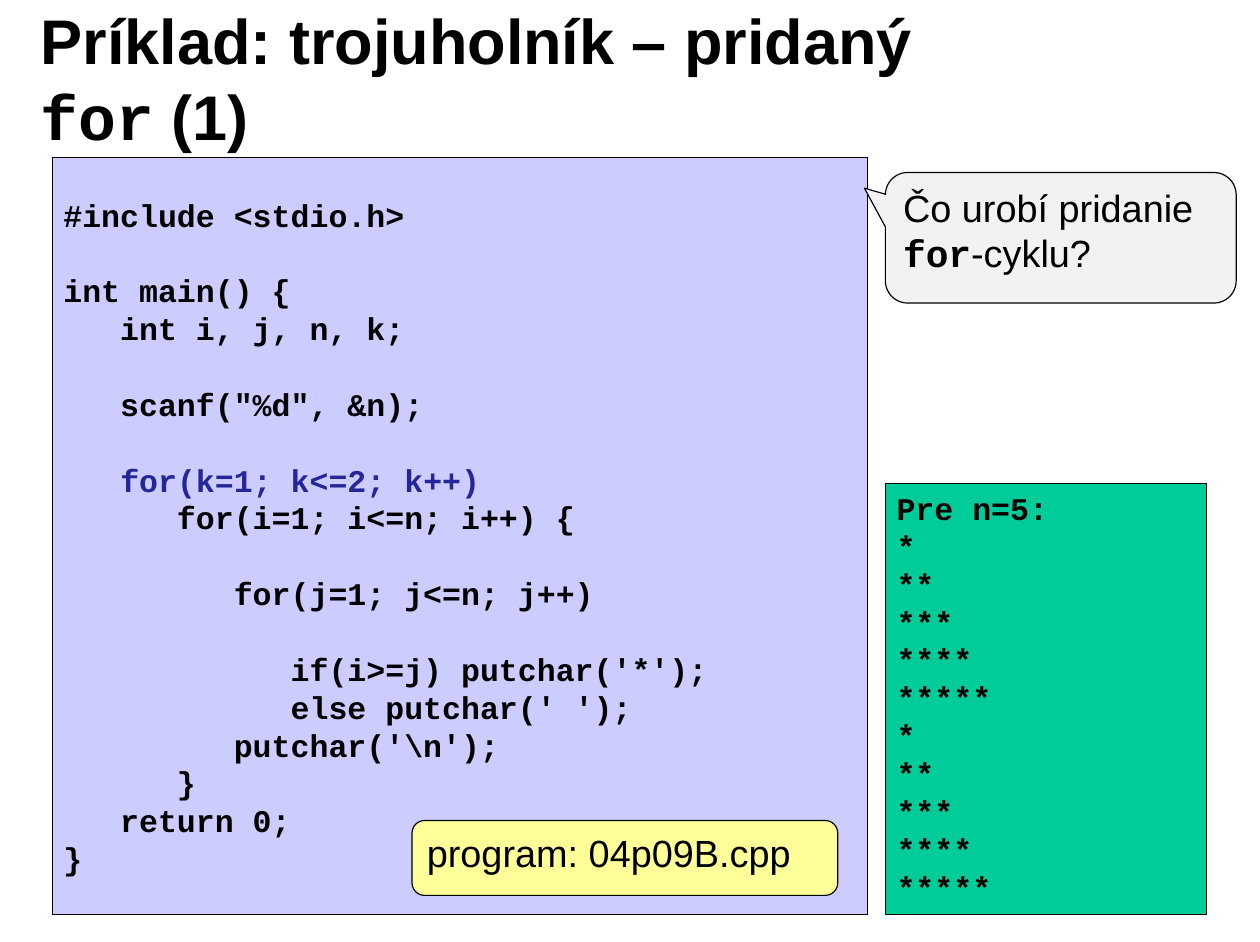
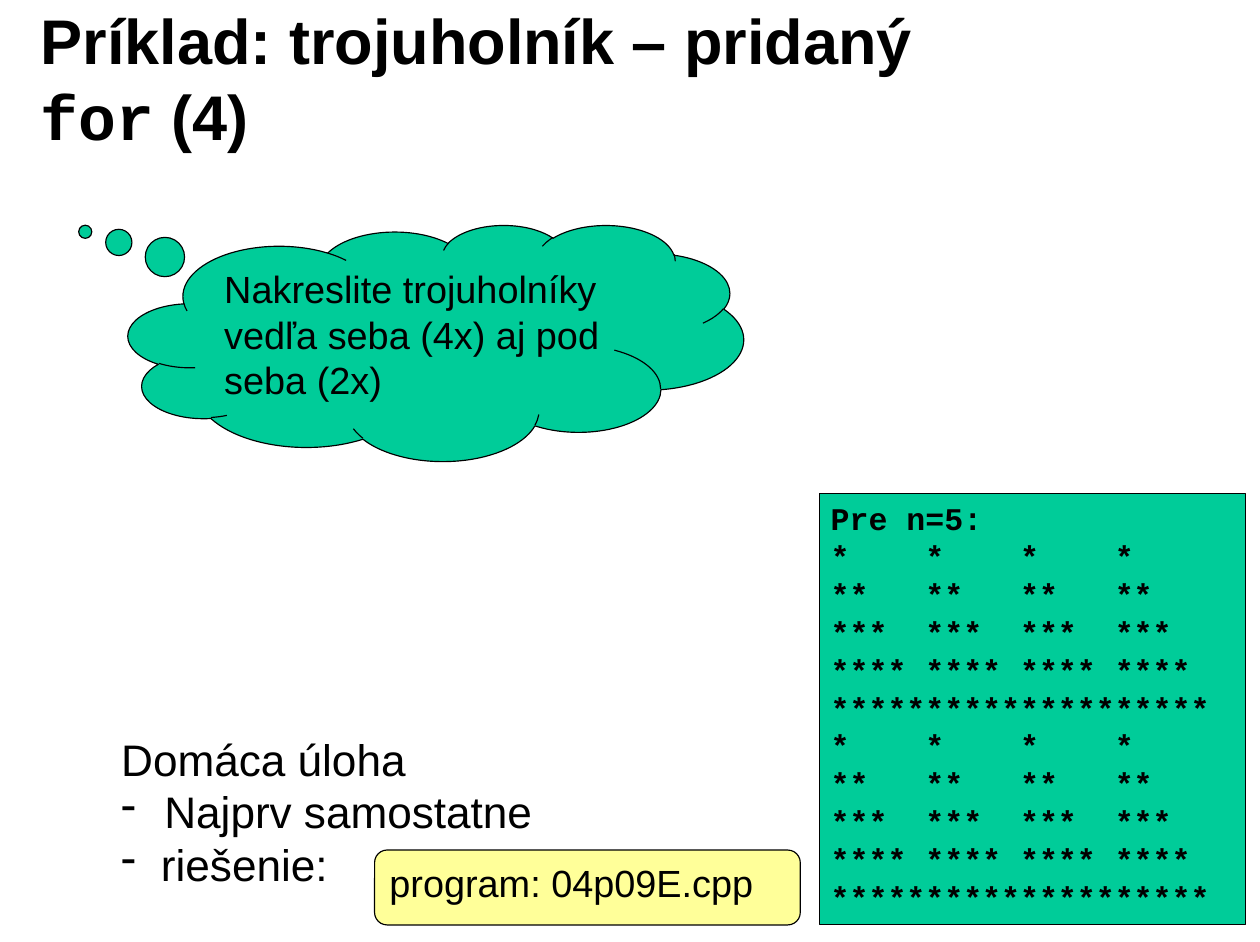
from lxml.etree import SubElement
from pptx import Presentation
from pptx.dml.color import RGBColor
from pptx.enum.shapes import MSO_SHAPE
from pptx.enum.text import MSO_ANCHOR, PP_ALIGN
from pptx.oxml.ns import qn
from pptx.util import Inches, Pt

COLORS = {
    "ink": "000000",
    "keyword": "262699",
    "code": "CCCCFF",
    "output": "00CC99",
    "question": "F2F2F2",
    "program": "FFFF99",
}
SANS, MONO = "Arial", "Courier New"
LINE_FACTOR = 1.2
SIDES = 5

CODE = r"""#include <stdio.h>

int main() {
   int i, j, n, k;

   scanf("%d", &n);

   for(k=1; k<=2; k++)
      for(i=1; i<=n; i++) {

         for(j=1; j<=n; j++)

            if(i>=j) putchar('*');
            else putchar(' ');
         putchar('\n');
      }
   return 0;
}"""
ADDED_LOOP = "for(k=1; k<=2; k++)"
QUESTION = [("Čo urobí pridanie ", {}), ("for", {"font": MONO, "bold": True}), ("-cyklu?", {})]
TASK = "Nakreslite trojuholníky vedľa seba (4x) aj pod seba (2x)"
HOMEWORK = [("Domáca úloha", 0), ("Najprv samostatne", 0.38), ("riešenie:", 0.35)]


def write(shape, paragraphs, size=24, font=SANS, bold=False, anchor=MSO_ANCHOR.TOP,
          insets=(0.1, 0.05), gaps=(), dashes=()):
    frame = shape.text_frame
    frame.word_wrap = True
    frame.vertical_anchor = anchor
    frame.margin_left = frame.margin_right = Inches(insets[0])
    frame.margin_top = frame.margin_bottom = Inches(insets[1])
    for index, content in enumerate(paragraphs):
        paragraph = frame.paragraphs[0] if index == 0 else frame.add_paragraph()
        paragraph.alignment = PP_ALIGN.LEFT
        paragraph.line_spacing = Pt(size * LINE_FACTOR)
        if index in gaps:
            paragraph.space_before = Pt(size * LINE_FACTOR)
        if dashes and dashes[index]:
            properties = paragraph._p.get_or_add_pPr()
            properties.set("marL", str(Inches(dashes[index])))
            properties.set("indent", str(-Inches(dashes[index])))
            SubElement(properties, qn("a:buChar")).set("char", "-")
        pieces = [(content, {})] if isinstance(content, str) else content
        for text, style in pieces:
            run = paragraph.add_run()
            run.text = text
            run.font.name = style.get("font", font)
            run.font.size = Pt(size)
            run.font.bold = style.get("bold", bold)
            run.font.color.rgb = RGBColor.from_string(COLORS[style.get("color", "ink")])


def add_panel(slide, preset, box, fill, adjustments=()):
    panel = slide.shapes.add_shape(preset, *map(Inches, box))
    panel.shadow.inherit = False
    panel.fill.solid()
    panel.fill.fore_color.rgb = RGBColor.from_string(COLORS[fill])
    panel.line.color.rgb = RGBColor.from_string(COLORS["ink"])
    panel.line.width = Pt(0.75)
    for index, value in enumerate(adjustments):
        panel.adjustments[index] = value
    return panel


def add_titled_slide(deck, number):
    slide = deck.slides.add_slide(deck.slide_layouts[6])
    title = slide.shapes.add_textbox(*map(Inches, (0.25, 0.17, 8.92, 1.02)))
    pieces = [("Príklad: trojuholník – pridaný ", {}), ("for", {"font": MONO}),
              (f" ({number})", {})]
    write(title, [pieces], size=40, bold=True, anchor=MSO_ANCHOR.MIDDLE, insets=(0.11, 0.06))
    return slide


def add_output(slide, box, across):
    triangle = [(("*" * row).ljust(SIDES) * across).rstrip() for row in range(1, SIDES + 1)]
    if across > 1:
        triangle[-1] = "*" * SIDES * across
    output = add_panel(slide, MSO_SHAPE.RECTANGLE, box, "output")
    write(output, [f"Pre n={SIDES}:"] + triangle * 2, size=20, font=MONO, bold=True)


def add_program(slide, left, top, name):
    program = add_panel(slide, MSO_SHAPE.ROUNDED_RECTANGLE, (left, top, 3.75, 0.66),
                        "program", [0.167])
    write(program, [f"program: {name}"])


def add_code(slide, box):
    lines, gaps, after_blank = [], [], False
    for line in CODE.split("\n"):
        if line:
            if after_blank:
                gaps.append(len(lines))
            if ADDED_LOOP in line:
                indent = line[:line.index(ADDED_LOOP)]
                line = [(indent, {}), (ADDED_LOOP, {"color": "keyword"})]
            lines.append(line)
        after_blank = not line
    code = add_panel(slide, MSO_SHAPE.RECTANGLE, box, "code")
    write(code, lines, size=20, font=MONO, bold=True, anchor=MSO_ANCHOR.MIDDLE, gaps=gaps)


def build_added_loop(deck):
    slide = add_titled_slide(deck, 1)
    add_output(slide, (7.8, 4.26, 2.83, 3.8), across=1)
    add_code(slide, (0.46, 1.39, 7.18, 6.67))
    question = add_panel(slide, MSO_SHAPE.ROUNDED_RECTANGULAR_CALLOUT,
                         (7.8, 1.52, 3.09, 1.15), "question", [-0.56, -0.38, 0.17])
    write(question, [QUESTION])
    add_program(slide, 3.63, 7.23, "04p09B.cpp")


def build_homework(deck):
    slide = add_titled_slide(deck, 4)
    add_output(slide, (7.22, 4.35, 3.75, 3.8), across=4)
    task = add_panel(slide, MSO_SHAPE.CLOUD_CALLOUT, (1.13, 1.98, 5.42, 2.08),
                     "output", [-0.57, -0.47])
    write(task, [TASK])
    add_program(slide, 3.3, 7.49, "04p09E.cpp")
    homework = slide.shapes.add_textbox(*map(Inches, (0.97, 6.4, 3.86, 1.51)))
    write(homework, [text for text, _ in HOMEWORK], size=28,
          dashes=[indent for _, indent in HOMEWORK])


def main():
    deck = Presentation()
    deck.slide_width, deck.slide_height = Inches(11.1), Inches(8.3)
    build_added_loop(deck)
    build_homework(deck)
    deck.save("out.pptx")


if __name__ == "__main__":
    main()
